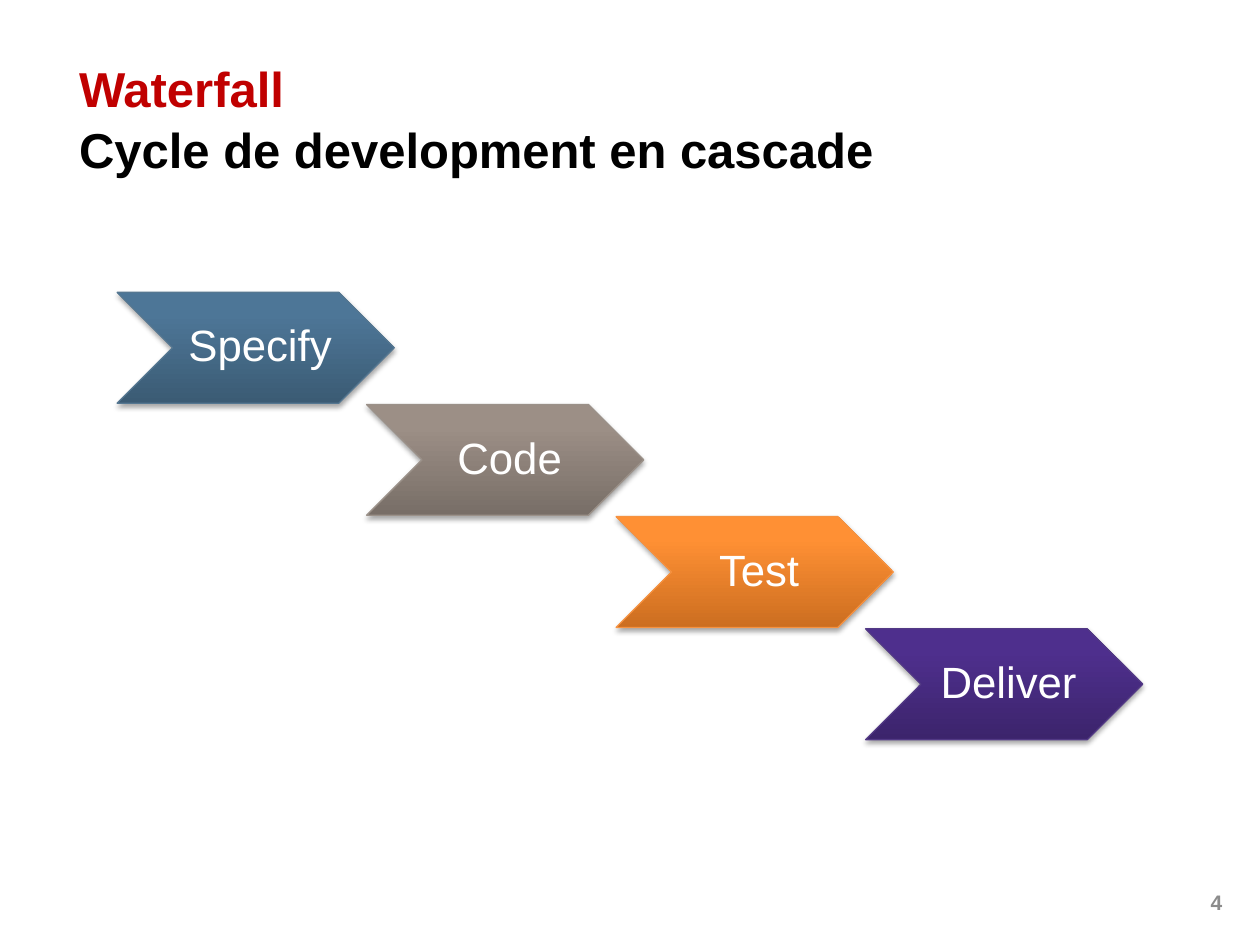
from dataclasses import dataclass

from pptx import Presentation
from pptx.dml.color import RGBColor
from pptx.enum.shapes import MSO_SHAPE
from pptx.enum.text import MSO_ANCHOR, PP_ALIGN
from pptx.oxml import parse_xml
from pptx.oxml.ns import nsdecls
from pptx.util import Inches, Pt


@dataclass(frozen=True)
class Theme:
    font: str = "Arial"
    accent: str = "C00000"
    dark: str = "000000"
    light: str = "FFFFFF"
    muted: str = "8C8C8C"
    title_size: int = 28
    step_size: int = 25
    number_size: int = 12


theme = Theme()

# Label, gradient from bottom to top, outline
STEPS = [
    ("Specify", ("3B5B74", "4D7697", "4C7799"), "557791"),
    ("Code", ("786E67", "9C8F86", "9D9086"), "9B9189"),
    ("Test", ("CC6E20", "FF9034", "FF9136"), "F69240"),
    ("Deliver", ("3C246C", "4E2F8D", "4D2E8F"), "523985"),
]
GRADIENT_STOPS = (0, 80, 100)
FIRST_LEFT, FIRST_TOP = 0.93, 2.32
COLUMN, ROW = 1.98, 0.89
STEP_WIDTH, STEP_HEIGHT = 2.2, 0.88


def write(shape, lines, *, size, bold=False, align=PP_ALIGN.LEFT,
          anchor=MSO_ANCHOR.TOP, insets=(0, 0, 0, 0), line_spacing=None, gap=0):
    """Fill a shape with (text, colour) lines; insets run left, top, right, bottom."""
    frame = shape.text_frame
    frame.word_wrap = True
    frame.vertical_anchor = anchor
    (frame.margin_left, frame.margin_top,
     frame.margin_right, frame.margin_bottom) = map(Inches, insets)
    for index, (text, colour) in enumerate(lines):
        para = frame.add_paragraph() if index else frame.paragraphs[0]
        para.alignment = align
        para.line_spacing = line_spacing
        if index:
            para.space_before = Pt(gap)
        span = para.add_run()
        span.text = text
        span.font.name = theme.font
        span.font.size = Pt(size)
        span.font.bold = bold
        span.font.color.rgb = RGBColor.from_string(colour)


def shade(shape, colours):
    """Give a shape a rising three-stop gradient and a soft shadow below it."""
    stops = "".join(
        f'<a:gs pos="{stop * 1000}"><a:srgbClr val="{colour}"/></a:gs>'
        for stop, colour in zip(GRADIENT_STOPS, colours))
    gradient = parse_xml(
        f'<a:gradFill {nsdecls("a")} rotWithShape="1"><a:gsLst>{stops}</a:gsLst>'
        '<a:lin ang="16200000" scaled="0"/></a:gradFill>')
    shadow = parse_xml(
        f'<a:outerShdw {nsdecls("a")} blurRad="{Pt(3.1)}" dist="{Pt(1.8)}" '
        'dir="5400000" rotWithShape="0"><a:srgbClr val="000000">'
        '<a:alpha val="35000"/></a:srgbClr></a:outerShdw>')
    properties = shape.element.spPr
    shape.fill.background()
    no_fill = properties.find("{*}noFill")
    properties.replace(no_fill, gradient)
    shape.shadow.inherit = False
    properties.find("{*}effectLst").append(shadow)


deck = Presentation()
deck.slide_width, deck.slide_height = Inches(10), Inches(7.5)
page = deck.slides.add_slide(deck.slide_layouts[6])

number = page.shapes.add_textbox(Inches(9.31), Inches(7.06), Inches(0.39), Inches(0.2))
write(number, [("4", theme.muted)], size=theme.number_size, bold=True,
      align=PP_ALIGN.RIGHT)

title = page.shapes.add_textbox(Inches(0.53), Inches(0.37), Inches(9.17), Inches(0.59))
write(title, [("Waterfall", theme.accent),
              ("Cycle de development en cascade", theme.dark)],
      size=theme.title_size, bold=True, insets=(0.1, 0.09, 0.1, 0.05), gap=1.6)

for index, (label, colours, outline) in enumerate(STEPS):
    step = page.shapes.add_shape(
        MSO_SHAPE.CHEVRON,
        Inches(FIRST_LEFT + index * COLUMN), Inches(FIRST_TOP + index * ROW),
        Inches(STEP_WIDTH), Inches(STEP_HEIGHT))
    shade(step, colours)
    step.line.color.rgb = RGBColor.from_string(outline)
    step.line.width = Pt(0.75)
    write(step, [(label, theme.light)], size=theme.step_size,
          align=PP_ALIGN.CENTER, anchor=MSO_ANCHOR.MIDDLE,
          insets=(0.11, 0.04, 0.04, 0.04), line_spacing=0.9)

deck.save("out.pptx")
